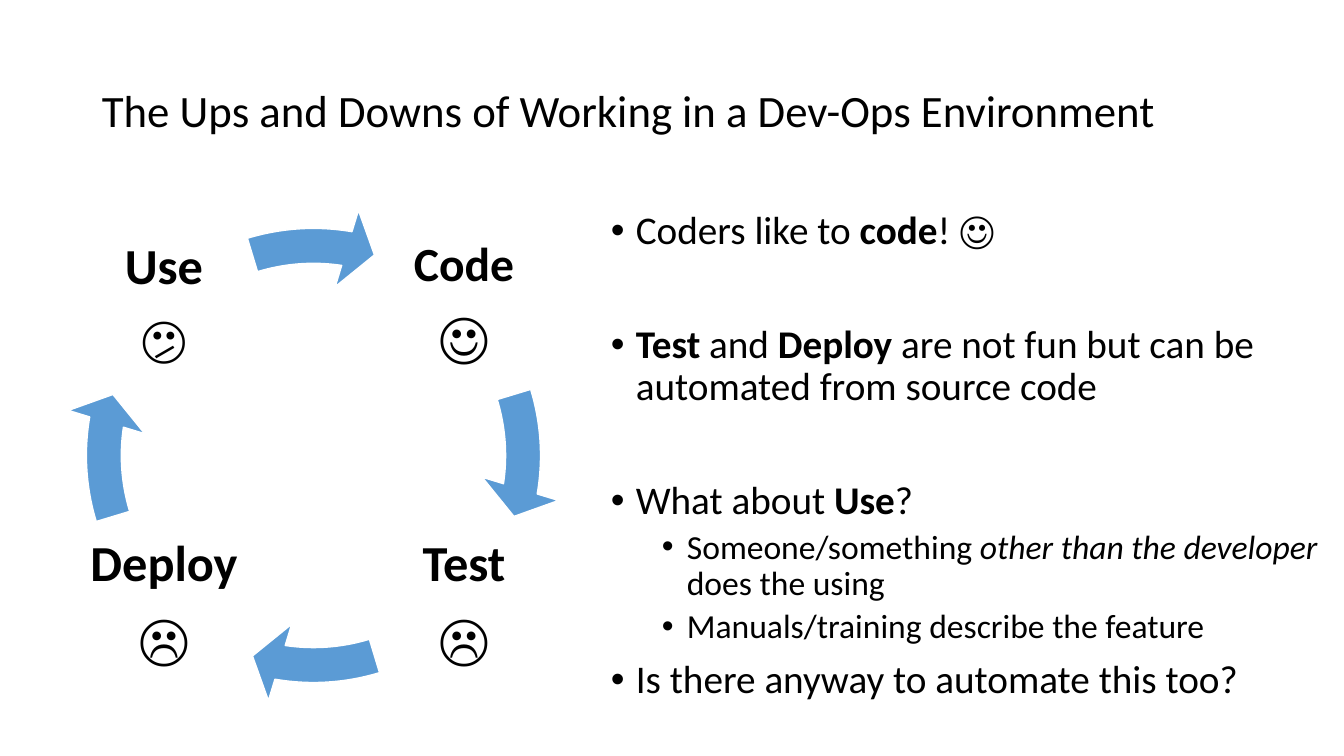
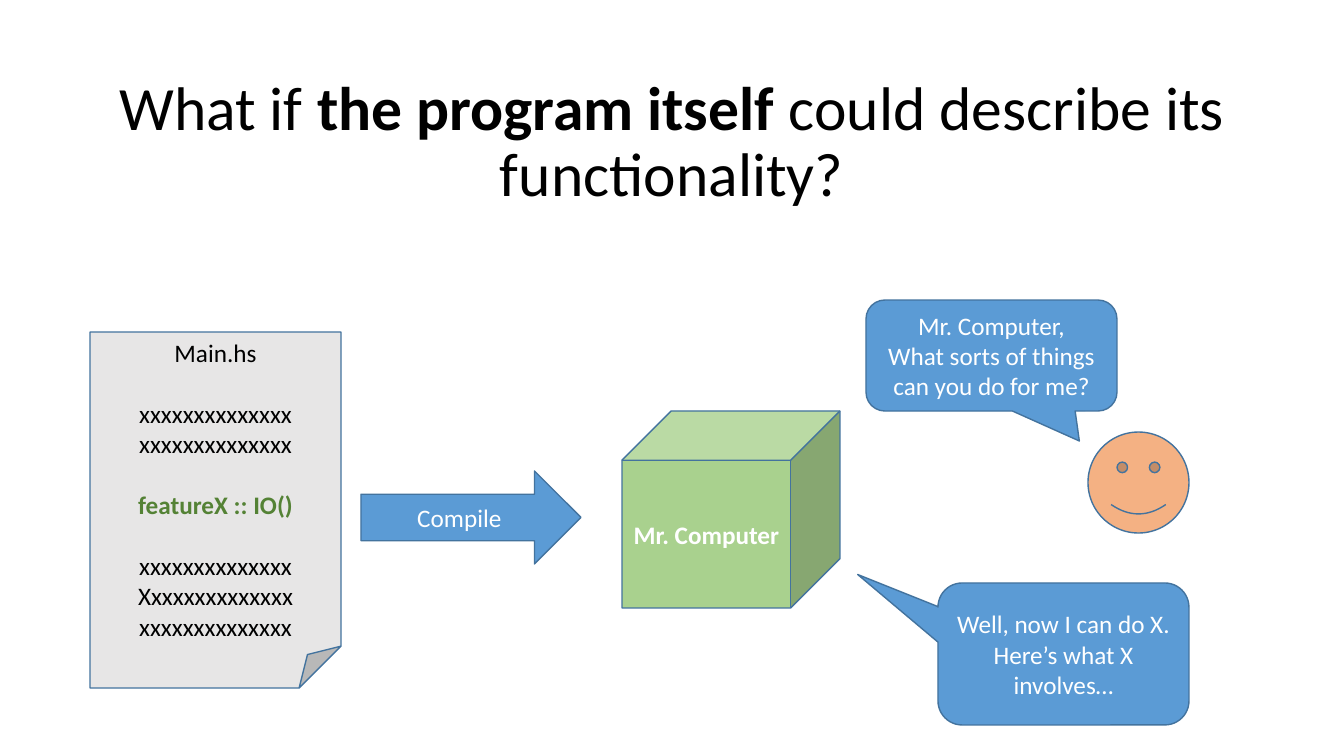
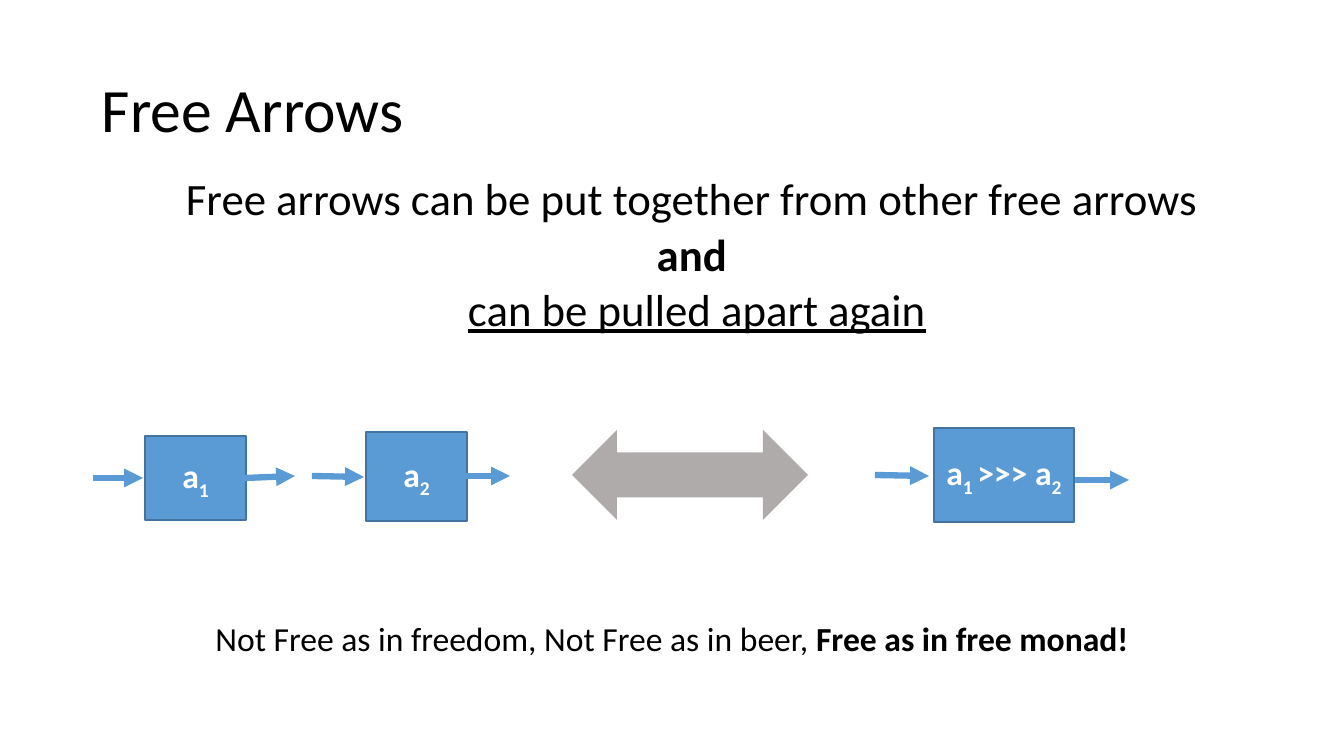
from pptx import Presentation
from pptx.dml.color import RGBColor
from pptx.enum.shapes import MSO_CONNECTOR, MSO_SHAPE
from pptx.enum.text import MSO_ANCHOR, PP_ALIGN
from pptx.oxml.ns import qn
from pptx.util import Pt
from lxml import etree

W, H = 1344, 756
SCALE = 12192000 / W
FONT = "Calibri"
COLORS = {
    "black": "000000", "white": "FFFFFF", "blue": "5B9BD5", "edge": "43739E",
    "paper": "E7E6E6", "green": "A9D18E", "code": "548235",
    "skin": "F4B183", "gray": "AFABAB",
}
LEFT, CENTER = PP_ALIGN.LEFT, PP_ALIGN.CENTER
TOP, MIDDLE = MSO_ANCHOR.TOP, MSO_ANCHOR.MIDDLE
RECT, CUBE, SMILEY = MSO_SHAPE.RECTANGLE, MSO_SHAPE.CUBE, MSO_SHAPE.SMILEY_FACE
PAGE, CALLOUT = MSO_SHAPE.FOLDED_CORNER, MSO_SHAPE.ROUNDED_RECTANGULAR_CALLOUT
RIGHT_ARROW, BOTH_ARROW = MSO_SHAPE.RIGHT_ARROW, MSO_SHAPE.LEFT_RIGHT_ARROW
CYCLE_ARROW = MSO_SHAPE.CIRCULAR_ARROW
STRAIGHT = MSO_CONNECTOR.STRAIGHT

# A run is a string or (string, style): b bold, i italic, u underline, s subscript.
# A paragraph is (runs, options).

# Slide 1 content
TITLE_BOX = (92, 40, 1160, 146)
CYCLE_TITLE = "The Ups and Downs of Working in a Dev-Ops Environment"
STAGES = [  # clockwise from top right: column, row, name, size, face, size
    (1, 0, "Code", 34, "☺", 40),
    (1, 1, "Test", 36, "☹", 40),
    (0, 1, "Deploy", 36, "☹", 40),
    (0, 0, "Use", 36, "😕", 36),
]
STAGE_X, STAGE_Y, STAGE_SIZE, STAGE_STEP = 76, 217, 176, 300
RING = (64, 206, 499, 499)
QUARTER_TURN, FULL_TURN = 54, 216  # in units of 100000/60000 degree
SUB = {"size": 24, "before": 5, "indent": 76, "hang": 25, "bullet": "•"}
ITEM = {"size": 28, "before": 10, "indent": 25, "hang": 25, "bullet": "•"}
SPACED = ITEM | {"before": 51}
POINTS = [
    (["Coders like to ", ("code", "b"), "! ☺"], ITEM),
    ([("Test", "b"), " and ", ("Deploy", "b"),
      " are not fun but can be automated from source code"], SPACED),
    (["What about ", ("Use", "b"), "?"], SPACED),
    (["Someone/something ", ("other than the developer", "i"), " does the using"], SUB),
    (["Manuals/training describe the feature"], SUB),
    (["Is there anyway to automate this too?"], ITEM),
]

# Slide 2 content
QUESTION = [(["What if ", ("the program itself ", "b"),
              "could describe its functionality?"], {})]
GAP = {"before": 22}
SOURCE_FILE = [
    (["Main.hs"], {}),
    (["xxxxxxxxxxxxxx"], GAP),
    (["xxxxxxxxxxxxxx"], {}),
    ([("featureX :: IO()", "b")], GAP | {"color": "code"}),
    (["xxxxxxxxxxxxxx"], GAP),
    (["Xxxxxxxxxxxxxx"], {}),
    (["xxxxxxxxxxxxxx"], {}),
]
SCENE = [  # shape, box, fill, text colour, paragraphs, adjustments
    (PAGE, (90, 332, 251, 356), "paper", "black", SOURCE_FILE, ()),
    (RIGHT_ARROW, (361, 471, 220, 93), "blue", "white", [(["Compile"], {})], ()),
    (CUBE, (622, 411, 218, 197), "green", "white", [([("Mr. Computer", "b")], {})], ()),
    (CALLOUT, (938, 583, 251, 142), "blue", "white",
     [(["Well, now I can do X."], {}), (["Here’s what X involves…"], {})],
     (-0.82, -0.56, 0.17)),
    (SMILEY, (1088, 432, 101, 101), "skin", "white", [], ()),
    (CALLOUT, (866, 300, 251, 111), "blue", "white",
     [(["Mr. Computer,"], {}), (["What sorts of things can you do for me?"], {})],
     (0.35, 0.77, 0.17)),
]

# Slide 3 content
NESTED = {"indent": 50, "before": 5}
CLAIM = [
    (["Free arrows can be put together from other free arrows "], NESTED),
    ([("and ", "b")], NESTED),
    ([("can be pulled apart again", "u")], NESTED),
]
FOOTNOTE = [(["Not Free as in freedom, Not Free as in beer, ",
              ("Free as in free monad!", "b")], {})]
BOXES = [
    ((366, 432, 101, 89), [("a", "b"), ("2", "bs")]),
    ((145, 436, 101, 84), [("a", "b"), ("1", "bs")]),
    ((934, 428, 140, 94), [("a", "b"), ("1 ", "bs"), (">>> a", "b"), ("2", "bs")]),
]
ARROWS = [
    (93, 478, 143, 478), (245, 478, 295, 476), (312, 476, 364, 477),
    (459, 476, 510, 476), (875, 475, 929, 476), (1075, 480, 1129, 480),
]


def px(*values):
    return [round(v * SCALE) for v in values]


def rgb(name):
    return RGBColor.from_string(COLORS[name])


def write(tf, paragraphs, size, color="black", align=LEFT, anchor=TOP, spacing=None):
    tf.word_wrap = True
    tf.vertical_anchor = anchor
    for n, (runs, opts) in enumerate(paragraphs):
        p = tf.paragraphs[0] if n == 0 else tf.add_paragraph()
        p.alignment = align
        p.line_spacing = spacing
        p.space_before = Pt(opts.get("before", 0))
        p.space_after = Pt(opts.get("after", 0))
        pPr = p._p.get_or_add_pPr()
        indent, hang = px(opts.get("indent", 0), opts.get("hang", 0))
        pPr.set("marL", str(indent))
        pPr.set("indent", str(-hang))
        if "bullet" in opts:
            etree.SubElement(pPr, qn("a:buFont")).set("typeface", "Arial")
            etree.SubElement(pPr, qn("a:buChar")).set("char", opts["bullet"])
        for run in runs:
            text, style = (run, "") if isinstance(run, str) else run
            r = p.add_run()
            r.text = text
            f = r.font
            f.name, f.size = FONT, Pt(opts.get("size", size))
            f.color.rgb = rgb(opts.get("color", color))
            f.bold, f.italic, f.underline = ("b" in style, "i" in style, "u" in style)
            if "s" in style:
                f._element.set("baseline", "-25000")


def add_text(s, box, paragraphs, size, margin=None, **layout):
    tf = s.shapes.add_textbox(*px(*box)).text_frame
    if margin is not None:
        tf.margin_left = tf.margin_right = tf.margin_top = tf.margin_bottom = px(margin)[0]
    write(tf, paragraphs, size, spacing=0.9, **layout)


def add_title(s, text, size):
    add_text(s, TITLE_BOX, [([text], {})], size, anchor=MIDDLE)


def add_shape(s, kind, box, fill, line="edge", adjust=()):
    sp = s.shapes.add_shape(kind, *px(*box))
    sp.shadow.inherit = False
    sp.fill.solid()
    sp.fill.fore_color.rgb = rgb(fill)
    if line:
        sp.line.color.rgb = rgb(line)
        sp.line.width = Pt(1)
    else:
        sp.line.fill.background()
    for n, value in enumerate(adjust):
        sp.adjustments[n] = value
    return sp


def add_arrow(s, ends):
    c = s.shapes.add_connector(STRAIGHT, *px(*ends))
    c.line.color.rgb = rgb("blue")
    c.line.width = Pt(4.5)
    etree.SubElement(c.line._get_or_add_ln(), qn("a:tailEnd")).set("type", "triangle")
    etree.SubElement(c._element.spPr, qn("a:effectLst"))


def cycle_slide(s):
    add_title(s, CYCLE_TITLE, 32)
    add_text(s, (601, 206, 728, 534), POINTS, 28)
    for n, (col, row, name, name_size, face, face_size) in enumerate(STAGES):
        box = (STAGE_X + col * STAGE_STEP, STAGE_Y + row * STAGE_STEP,
               STAGE_SIZE, STAGE_SIZE)
        label = [([(name, "b")], {"size": name_size, "after": 13}),
                 ([face], {"size": face_size})]
        add_text(s, box, label, name_size, margin=5, align=CENTER, anchor=MIDDLE)
        turn = n * QUARTER_TURN
        add_shape(s, CYCLE_ARROW, RING, "blue", "white",
                  (0.07, 4.65, 5.5 + turn, (205.85 + turn) % FULL_TURN, 0.08))


def program_slide(s):
    add_text(s, (92, 72, 1160, 158), QUESTION, 44, align=CENTER)
    for kind, box, fill, color, paragraphs, adjust in SCENE:
        sp = add_shape(s, kind, box, fill, adjust=adjust)
        write(sp.text_frame, paragraphs, 18, color, CENTER, MIDDLE)


def arrows_slide(s):
    add_title(s, "Free Arrows", 44)
    add_text(s, (92, 172, 1160, 180), CLAIM, 32, align=CENTER)
    add_text(s, (92, 618, 1160, 50), FOOTNOTE, 24, align=CENTER)
    for box, runs in BOXES:
        sp = add_shape(s, RECT, box, "blue")
        write(sp.text_frame, [(runs, {})], 24, "white", CENTER, MIDDLE)
    for ends in ARROWS:
        add_arrow(s, ends)
    add_shape(s, BOTH_ARROW, (572, 430, 236, 90), "gray", None)


def main():
    prs = Presentation()
    prs.slide_width, prs.slide_height = px(W, H)
    for build in (cycle_slide, program_slide, arrows_slide):
        build(prs.slides.add_slide(prs.slide_layouts[6]))
    prs.save("out.pptx")


if __name__ == "__main__":
    main()
